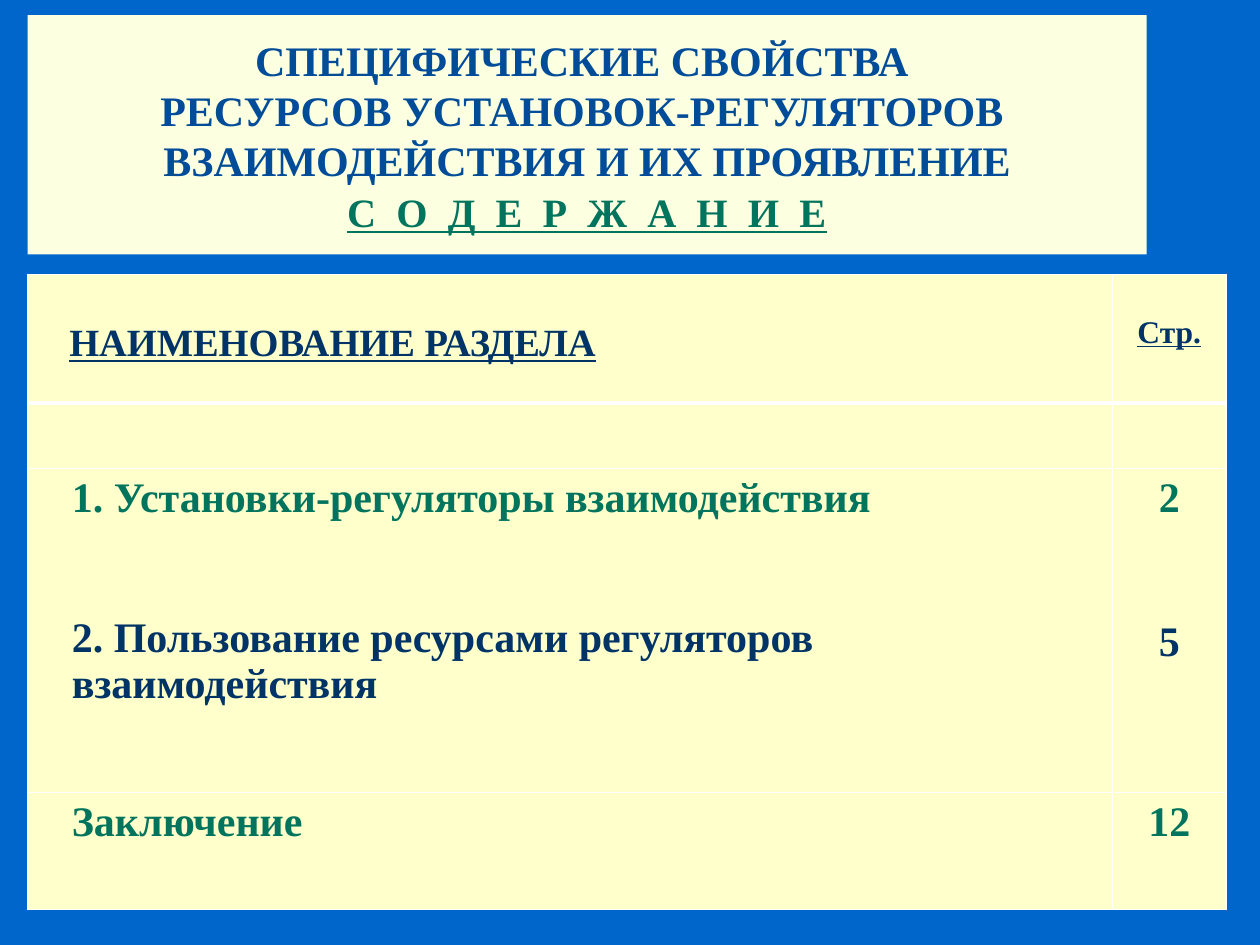
from dataclasses import dataclass
from typing import Optional

from lxml.etree import SubElement
from pptx import Presentation
from pptx.dml.color import RGBColor
from pptx.enum.shapes import MSO_SHAPE as Shape
from pptx.enum.text import MSO_ANCHOR as Anchor, PP_ALIGN as Align
from pptx.oxml.ns import qn
from pptx.util import Inches, Pt


@dataclass(frozen=True)
class Theme:
    font: str = "Times New Roman"
    background: str = "0066CC"
    title_fill: str = "FDFFE1"
    cell_fill: str = "FFFFCC"
    border: str = "FFFFFF"
    title: str = "004C99"
    green: str = "00745C"
    navy: str = "003366"
    body_size: float = 24
    contents_size: float = 23
    header_size: float = 22
    page_size: float = 18
    title_pitch: float = 28.7
    body_pitch: float = 26.6


@dataclass(frozen=True)
class Line:
    text: str
    color: str
    size: float
    align: Align = Align.LEFT
    underline: bool = False
    before: float = 0
    pitch: Optional[float] = None
    tracking: float = 0


@dataclass(frozen=True)
class Entry:
    row: int
    col: int
    lines: tuple[Line, ...]
    left: float = 0.1
    top: float = 0.05


T = Theme()
COLS = (8.61, 0.9)
ROWS = (1.02, 0.52, 2.57, 0.93)
LEFT = 0.22


def rgb(value: str) -> RGBColor:
    return RGBColor.from_string(value)


def write(tf, lines: tuple[Line, ...]) -> None:
    for i, line in enumerate(lines):
        p = tf.paragraphs[0] if i == 0 else tf.add_paragraph()
        p.text = line.text
        p.alignment = line.align
        p.space_before = Pt(line.before)
        if line.pitch:
            p.line_spacing = Pt(line.pitch)
        for r in p.runs:
            f = r.font
            f.name, f.size, f.bold = T.font, Pt(line.size), True
            f.underline = line.underline
            f.color.rgb = rgb(line.color)
            if line.tracking:
                f._element.set("spc", str(round(line.tracking * 100)))


def style_cell(cell, bottom: float) -> None:
    tc_pr = cell._tc.get_or_add_tcPr()
    for side, width in (("L", 1), ("R", 1), ("T", 1), ("B", bottom)):
        ln = SubElement(tc_pr, qn(f"a:ln{side}"), w=str(Pt(width)))
        fill = SubElement(ln, qn("a:solidFill"))
        SubElement(fill, qn("a:srgbClr"), val=T.border)
    cell.fill.solid()
    cell.fill.fore_color.rgb = rgb(T.cell_fill)


def add_title(s) -> None:
    sp = s.shapes.add_shape(Shape.RECTANGLE, Inches(LEFT), Inches(0.12), Inches(8.88), Inches(1.9))
    sp.shadow.inherit = False
    sp.fill.solid()
    sp.fill.fore_color.rgb = rgb(T.title_fill)
    sp.line.fill.background()
    tf = sp.text_frame
    tf.word_wrap = True
    tf.vertical_anchor = Anchor.MIDDLE
    headings = (
        "СПЕЦИФИЧЕСКИЕ СВОЙСТВА ",
        "РЕСУРСОВ УСТАНОВОК-РЕГУЛЯТОРОВ ",
        "ВЗАИМОДЕЙСТВИЯ И ИХ ПРОЯВЛЕНИЕ",
    )
    lines = tuple(
        Line(text, T.title, T.body_size, Align.CENTER, pitch=T.title_pitch) for text in headings
    )
    contents = Line("С О Д Е Р Ж А Н И Е", T.green, T.contents_size, Align.CENTER,
                    underline=True, pitch=T.title_pitch, tracking=T.contents_size / 8)
    write(tf, lines + (contents,))


def body(text: str, color: str, before: float = 0, align: Align = Align.LEFT) -> Line:
    return Line(text, color, T.body_size, align, before=before, pitch=T.body_pitch)


def add_contents(s, entries: tuple[Entry, ...]) -> None:
    frame = s.shapes.add_table(len(ROWS), len(COLS), Inches(LEFT), Inches(2.18),
                               Inches(sum(COLS)), Inches(sum(ROWS)))
    table = frame.table
    for column, width in zip(table.columns, COLS):
        column.width = Inches(width)
    for i, (row, height) in enumerate(zip(table.rows, ROWS)):
        row.height = Inches(height)
        for cell in row.cells:
            style_cell(cell, bottom=3 if i == 0 else 1)
    for e in entries:
        cell = table.cell(e.row, e.col)
        cell.margin_left, cell.margin_top = Inches(e.left), Inches(e.top)
        write(cell.text_frame, e.lines)


ENTRIES = (
    Entry(0, 0, (Line("НАИМЕНОВАНИЕ РАЗДЕЛА", T.navy, T.header_size, underline=True),), 0.33, 0.38),
    Entry(0, 1, (Line("Стр.", T.navy, T.page_size, Align.CENTER, underline=True),), top=0.32),
    Entry(2, 0, (
        body("1. Установки-регуляторы взаимодействия", T.green),
        body("2. Пользование ресурсами регуляторов", T.navy, 2 * T.body_pitch),
        body("взаимодействия", T.navy),
    ), 0.35),
    Entry(2, 1, (
        body("2", T.green, align=Align.CENTER),
        body("5", T.navy, 56, Align.CENTER),
    )),
    Entry(3, 0, (body("Заключение", T.green),), 0.35),
    Entry(3, 1, (body("12", T.green, align=Align.CENTER),)),
)

prs = Presentation()
prs.slide_width, prs.slide_height = Inches(10), Inches(7.5)
s = prs.slides.add_slide(prs.slide_layouts[6])
s.background.fill.solid()
s.background.fill.fore_color.rgb = rgb(T.background)
add_title(s)
add_contents(s, ENTRIES)
prs.save("out.pptx")
